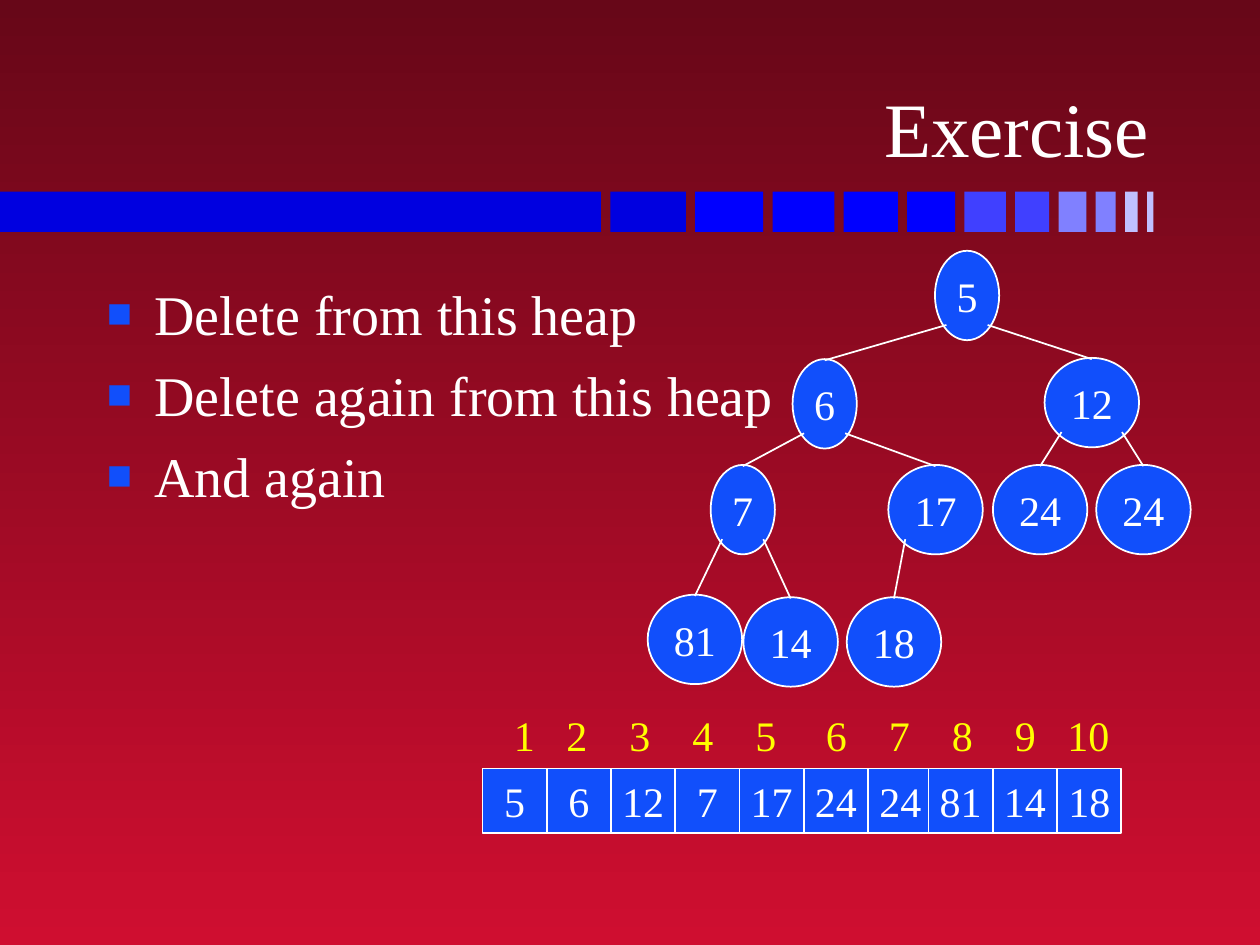
import dataclasses
import typing

import lxml.etree
import pptx
import pptx.dml.color
import pptx.enum.shapes
import pptx.enum.text
import pptx.oxml.ns
import pptx.util

COLUMNS, ROWS = 100, 75
UNIT = pptx.util.Inches(0.1)
FONT = "Times New Roman"
WHITE, BLUE, YELLOW = "FFFFFF", "114FFB", "FFFF00"
SHAPES = pptx.enum.shapes.MSO_SHAPE
ALIGN = pptx.enum.text.PP_ALIGN
ANCHOR = pptx.enum.text.MSO_ANCHOR


@dataclasses.dataclass
class Area:
    column: float
    row: float
    columns: float
    rows: float

    def lengths(self) -> list[int]:
        return [grid(value) for value in dataclasses.astuple(self)]


@dataclasses.dataclass
class Node:
    label: str
    center: float
    top: float
    height: float = 7.1

    @property
    def width(self) -> float:
        return 7.5 if len(self.label) > 1 else 5.1

    def area(self) -> Area:
        return Area(self.center - self.width / 2, self.top, self.width, self.height)


@dataclasses.dataclass
class Bar:
    columns: float
    color: str


HEAP = ["5", "6", "12", "7", "17", "24", "24", "81", "14", "18"]
CENTERS = [76.75, 65.45, 86.65, 58.95, 74.25, 82.55, 90.75, 55.15, 62.75, 70.95]
TOPS = [19.9, 28.5, 28.4] + [36.9] * 4 + [47.2, 47.4, 47.4]
NODES = [Node(*values) for values in zip(HEAP, CENTERS, TOPS)]
BARS = [
    Bar(47.7, "0000E0"), Bar(6, "0000E0"), Bar(5.4, "0000FF"), Bar(4.9, "0000FF"),
    Bar(4.3, "0000FF"), Bar(3.8, "0000FF"), Bar(3.3, "4040FF"), Bar(2.7, "4040FF"),
    Bar(2.2, "8080FF"), Bar(1.6, "8080FF"), Bar(1, "C0C0FF"), Bar(0.5, "C0C0FF"),
]
BAR_GAP = 0.74
BULLETS = ["Delete from this heap", "Delete again from this heap", "And again"]
INDEX_STOPS = [0.5, 1, 1.5, 2, 2.56, 3.06, 3.56, 4.06, 4.56]


def grid(value: float) -> int:
    return round(value * UNIT)


def rgb(value: str) -> pptx.dml.color.RGBColor:
    return pptx.dml.color.RGBColor.from_string(value)


def apply(target: typing.Any, values: dict[str, typing.Any]) -> None:
    for name, value in values.items():
        setattr(target, name, value)


def add_xml(parent: typing.Any, tag: str, **attributes: str) -> typing.Any:
    return lxml.etree.SubElement(parent, pptx.oxml.ns.qn(tag), attributes)


def write(box: typing.Any, lines: list[str], size: int, color: str,
          frame: dict[str, typing.Any], layout: dict[str, typing.Any]) -> list[typing.Any]:
    apply(box.text_frame, frame)
    box.text_frame.text = "\n".join(lines)
    for para in box.text_frame.paragraphs:
        apply(para, layout)
        for span in para.runs:
            apply(span.font, {"name": FONT, "size": pptx.util.Pt(size)})
            span.font.color.rgb = rgb(color)
    return list(box.text_frame.paragraphs)


def draw_block(page: typing.Any, kind: typing.Any, area: Area, color: str,
               label: str = "") -> None:
    box = page.shapes.add_shape(kind, *area.lengths())
    box.shadow.inherit = False
    box.fill.solid()
    box.fill.fore_color.rgb = rgb(color)
    if not label:
        box.line.fill.background()
        return
    box.line.color.rgb = rgb(WHITE)
    box.line.width = pptx.util.Pt(1)
    write(box, [label], 24, WHITE,
          {"word_wrap": False, "vertical_anchor": ANCHOR.MIDDLE},
          {"alignment": ALIGN.CENTER})


def draw_edge(page: typing.Any, parent: Node, child: Node, side: int) -> None:
    ends = [parent.center + side * 0.32 * parent.width, parent.top + 0.83 * parent.height,
            child.center, child.top + 0.1]
    edge = page.shapes.add_connector(pptx.enum.shapes.MSO_CONNECTOR.STRAIGHT,
                                     *map(grid, ends))
    edge.line.color.rgb = rgb(WHITE)
    edge.line.width = pptx.util.Pt(1)
    add_xml(edge._element.spPr, "a:effectLst")


def draw_text(page: typing.Any, area: Area, lines: list[str], size: int, color: str,
              layout: dict[str, typing.Any], anchor: typing.Any = ANCHOR.TOP) -> list[typing.Any]:
    box = page.shapes.add_textbox(*area.lengths())
    return write(box, lines, size, color,
                 {"word_wrap": True, "vertical_anchor": anchor}, layout)


def add_bullet(para: typing.Any) -> None:
    properties = para._p.get_or_add_pPr()
    apply_indent = {"marL": 3.75, "indent": -3.75}
    for name, value in apply_indent.items():
        properties.set(name, str(grid(value)))
    add_xml(add_xml(properties, "a:buClr"), "a:srgbClr", val=BLUE)
    add_xml(properties, "a:buSzPct", val="75000")
    add_xml(properties, "a:buFont", typeface=FONT)
    add_xml(properties, "a:buChar", char="■")


def add_stops(para: typing.Any, stops: list[float]) -> None:
    tabs = add_xml(para._p.get_or_add_pPr(), "a:tabLst")
    for stop in stops:
        add_xml(tabs, "a:tab", pos=str(pptx.util.Inches(stop)), algn="ctr")


def paint_background(page: typing.Any) -> None:
    fill = page.background.fill
    fill.gradient()
    fill.gradient_angle = 270
    for stop, color in zip(fill.gradient_stops, ["670718", "CF0E30"]):
        stop.color.rgb = rgb(color)


def draw_bars(page: typing.Any) -> None:
    column = 0.0
    for bar in BARS:
        draw_block(page, SHAPES.RECTANGLE, Area(column, 15.2, bar.columns, 3.2), bar.color)
        column += bar.columns + BAR_GAP


def draw_tree(page: typing.Any) -> None:
    for node in NODES:
        draw_block(page, SHAPES.OVAL, node.area(), BLUE, node.label)
    for place, child in enumerate(NODES[1:], 2):
        draw_edge(page, NODES[place // 2 - 1], child, 1 if place % 2 else -1)


def draw_array(page: typing.Any) -> None:
    for place, label in enumerate(HEAP):
        column = 38.3 + 5.1 * place - (0.3 if place >= 7 else 0)
        draw_block(page, SHAPES.RECTANGLE, Area(column, 61, 5.1, 5.1), BLUE, label)
    numbers = "\t".join(str(place) for place in range(1, len(HEAP) + 1))
    para, = draw_text(page, Area(39.8, 55.8, 49.3, 5), [numbers], 24, YELLOW,
                      {"alignment": ALIGN.LEFT})
    add_stops(para, INDEX_STOPS)


def main() -> None:
    deck = pptx.Presentation()
    apply(deck, {"slide_width": grid(COLUMNS), "slide_height": grid(ROWS)})
    page = deck.slides.add_slide(deck.slide_layouts[6])
    paint_background(page)
    draw_bars(page)
    draw_text(page, Area(7.4, 1.9, 84.8, 12.3), ["Exercise"], 44, WHITE,
              {"alignment": ALIGN.RIGHT}, ANCHOR.BOTTOM)
    for para in draw_text(page, Area(7.5, 21.7, 85, 45), BULLETS, 32, WHITE,
                          {"space_before": pptx.util.Pt(8)}):
        add_bullet(para)
    draw_tree(page)
    draw_array(page)
    deck.save("out.pptx")


if __name__ == "__main__":
    main()
